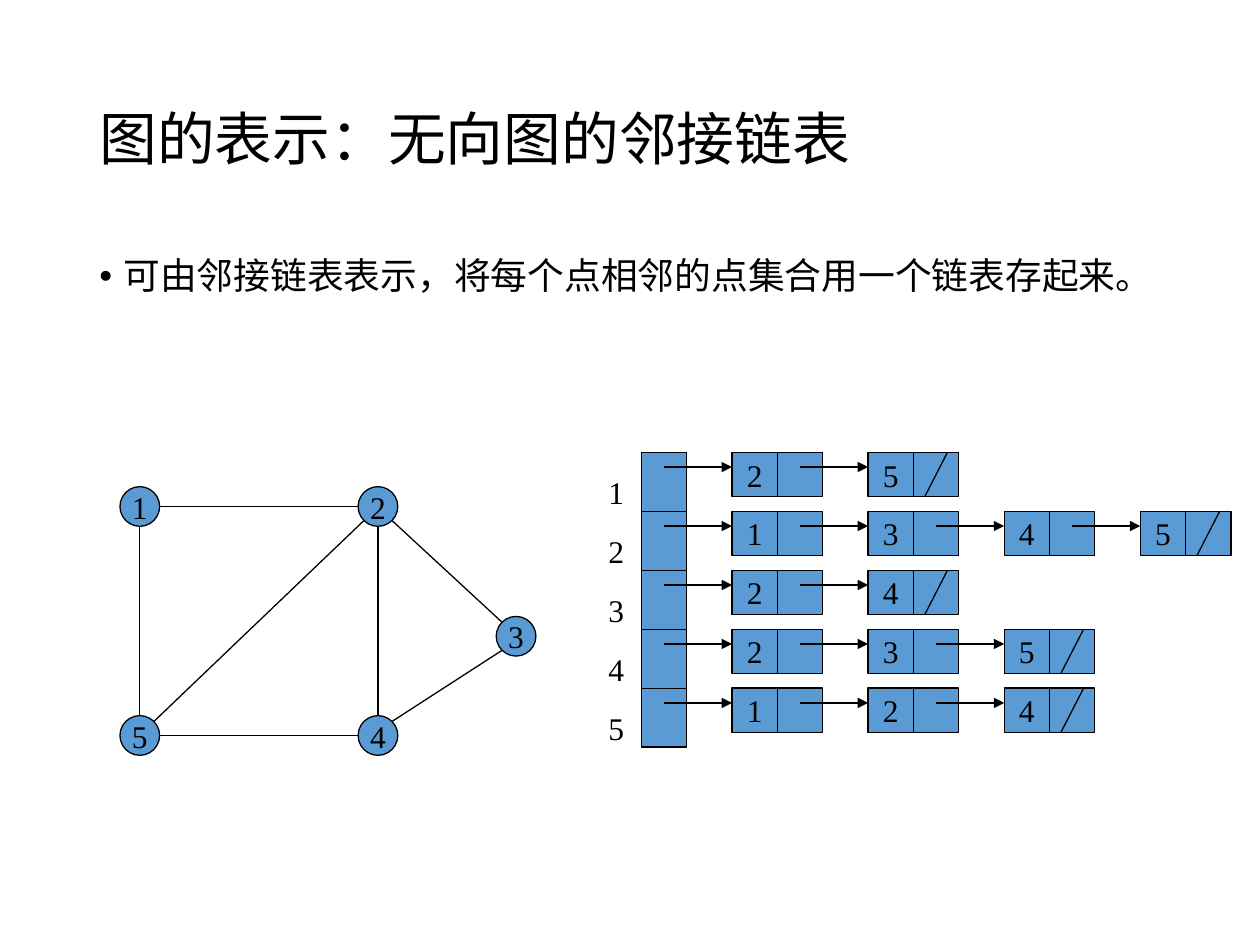
from dataclasses import dataclass
from math import cos, radians, sin

from lxml.etree import SubElement
from pptx import Presentation
from pptx.dml.color import RGBColor
from pptx.enum.shapes import MSO_CONNECTOR, MSO_SHAPE
from pptx.enum.text import MSO_ANCHOR, PP_ALIGN
from pptx.oxml.ns import qn
from pptx.util import Inches, Pt


@dataclass(frozen=True)
class Theme:
    ink: RGBColor = RGBColor(0x00, 0x00, 0x00)
    fill: RGBColor = RGBColor(0x5B, 0x9B, 0xD5)
    heading_font: str = "Noto Sans CJK SC"
    label_font: str = "Times New Roman"
    title_size: int = 33
    body_size: int = 21
    label_size: int = 18
    line_width: float = 0.75


@dataclass(frozen=True)
class Grid:
    left: float
    top: float
    col: float
    row: float

    def point(self, c, r):
        return Inches(self.left + c * self.col), Inches(self.top + r * self.row)

    def box(self, c, r, cols, rows):
        return *self.point(c, r), Inches(cols * self.col), Inches(rows * self.row)


class Canvas:
    def __init__(self, slide, theme):
        self.s = slide
        self.theme = theme

    def run(self, p, text, size, font):
        r = p.add_run()
        r.text = text
        r.font.size = Pt(size)
        r.font.name = font
        r.font.color.rgb = self.theme.ink
        SubElement(r.font._element, qn("a:ea"), typeface=font)

    def text(self, box, text, size, font, anchor=MSO_ANCHOR.TOP, spacing=1.0, bullet=False):
        tf = self.s.shapes.add_textbox(*box).text_frame
        tf.word_wrap = True
        tf.vertical_anchor = anchor
        p = tf.paragraphs[0]
        p.line_spacing = spacing
        if bullet:
            pPr = p._p.get_or_add_pPr()
            pPr.set("marL", str(Inches(0.19)))
            pPr.set("indent", str(-Inches(0.19)))
            SubElement(pPr, qn("a:buFont"), typeface="Arial")
            SubElement(pPr, qn("a:buChar"), char="•")
        self.run(p, text, size, font)

    def shape(self, kind, box, label=""):
        sp = self.s.shapes.add_shape(kind, *box)
        sp.shadow.inherit = False
        sp.fill.solid()
        sp.fill.fore_color.rgb = self.theme.fill
        sp.line.color.rgb = self.theme.ink
        sp.line.width = Pt(self.theme.line_width)
        if label:
            tf = sp.text_frame
            tf.word_wrap = False
            tf.vertical_anchor = MSO_ANCHOR.MIDDLE
            p = tf.paragraphs[0]
            p.alignment = PP_ALIGN.CENTER
            self.run(p, label, self.theme.label_size, self.theme.label_font)

    def line(self, start, end, arrow=False):
        cxn = self.s.shapes.add_connector(MSO_CONNECTOR.STRAIGHT, *start, *end)
        cxn.line.color.rgb = self.theme.ink
        cxn.line.width = Pt(self.theme.line_width)
        if arrow:
            SubElement(cxn.line._get_or_add_ln(), qn("a:tailEnd"), type="triangle")
        SubElement(cxn._element.spPr, qn("a:effectLst"))


PAGE = Grid(0, 0, 0.1, 0.075)
LISTS = Grid(5.09, 3.59, 0.36, 0.468)
GRAPH = Grid(1.11, 4.02, 0.315, 0.315)

ADJACENCY = {"1": "25", "2": "1345", "3": "24", "4": "235", "5": "124"}
NODES = {"1": (0, 0), "5": (0, 5.77), "2": (6, 0), "4": (6, 5.77), "3": (9.48, 3.27)}
EDGES = [
    ("1", 90, "5", 270),
    ("1", 0, "2", 180),
    ("2", 90, "4", 270),
    ("5", 0, "4", 180),
    ("2", 135, "5", 315),
    ("2", 45, "3", 225),
    ("4", 315, "3", 135),
]
CELL_HEIGHT = 0.75
ARROW_DROP = 0.25
FIRST_CELL = 2
CELL_STEP = 3


def draw_list(canvas, row, vertex, neighbours):
    theme = canvas.theme
    canvas.shape(MSO_SHAPE.RECTANGLE, LISTS.box(0, row, 1, 1))
    canvas.text(LISTS.box(-1, row + 0.25, 1.25, 0.62), vertex, theme.label_size, theme.label_font)
    cells = [FIRST_CELL + CELL_STEP * i for i in range(len(neighbours))]
    for c, neighbour in zip(cells, neighbours):
        canvas.shape(MSO_SHAPE.RECTANGLE, LISTS.box(c, row, 1, CELL_HEIGHT), neighbour)
        canvas.shape(MSO_SHAPE.RECTANGLE, LISTS.box(c + 1, row, 1, CELL_HEIGHT))
    y = row + ARROW_DROP
    for c in cells:
        canvas.line(LISTS.point(c - 1.5, y), LISTS.point(c, y), arrow=True)
    last = cells[-1] + 1
    canvas.line(LISTS.point(last + 0.75, row), LISTS.point(last + 0.25, row + CELL_HEIGHT))


def rim(node, angle):
    c, r = NODES[node]
    return GRAPH.point(c + cos(radians(angle)) / 2, r + sin(radians(angle)) / 2)


def main():
    prs = Presentation()
    prs.slide_width, prs.slide_height = Inches(10), Inches(7.5)
    theme = Theme()
    canvas = Canvas(prs.slides.add_slide(prs.slide_layouts[6]), theme)

    canvas.text(PAGE.box(6.9, 5.33, 86.2, 19.33), "图的表示：无向图的邻接链表",
                theme.title_size, theme.heading_font, MSO_ANCHOR.MIDDLE, 0.9)
    canvas.text(PAGE.box(6.9, 26.67, 86.2, 63.47),
                "可由邻接链表表示，将每个点相邻的点集合用一个链表存起来。",
                theme.body_size, theme.heading_font, spacing=0.9, bullet=True)

    for row, (vertex, neighbours) in enumerate(ADJACENCY.items()):
        draw_list(canvas, row, vertex, neighbours)

    for node, (c, r) in NODES.items():
        canvas.shape(MSO_SHAPE.OVAL, GRAPH.box(c - 0.5, r - 0.5, 1, 1), node)
    for start, leave, end, arrive in EDGES:
        canvas.line(rim(start, leave), rim(end, arrive))

    prs.save("out.pptx")


if __name__ == "__main__":
    main()
